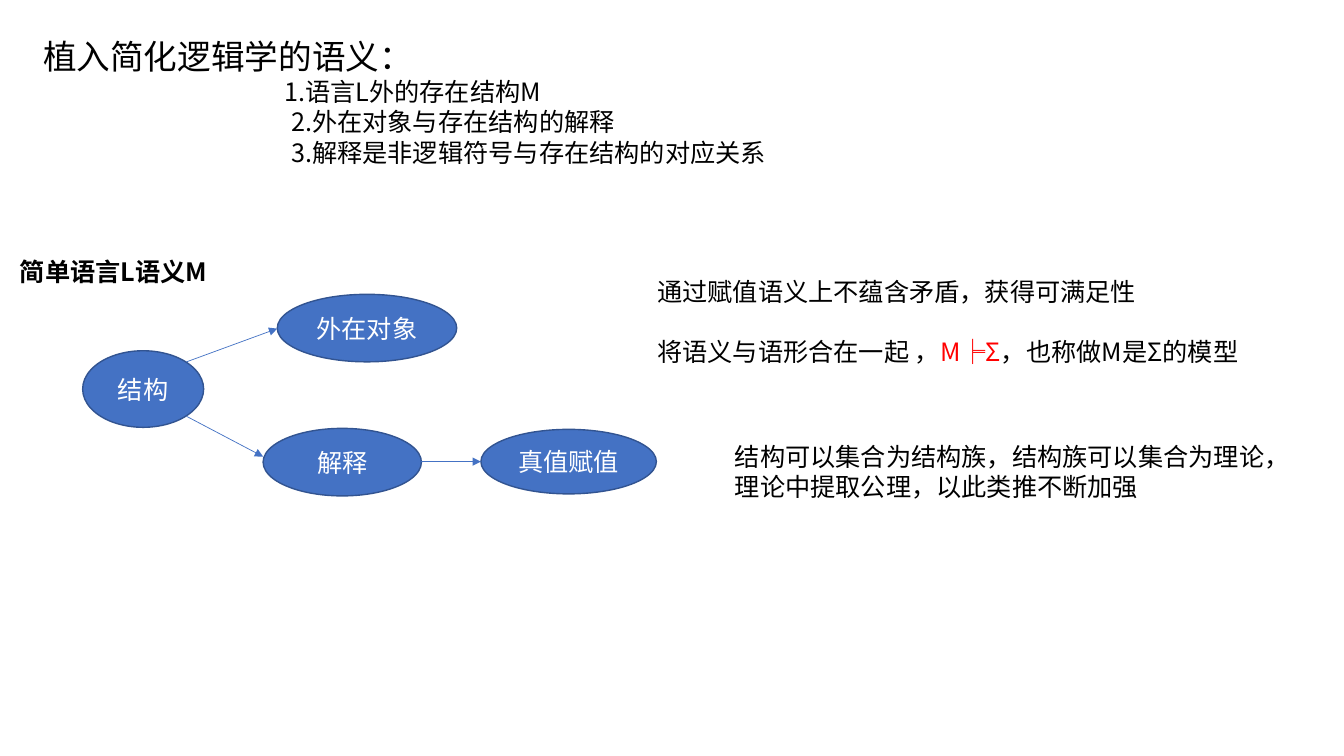
from pptx import Presentation
from pptx.dml.color import RGBColor
from pptx.enum.shapes import MSO_CONNECTOR as CONN, MSO_SHAPE as SHAPE
from pptx.enum.text import MSO_ANCHOR as ANCHOR, PP_ALIGN as ALIGN
from pptx.oxml.ns import qn
from pptx.util import Inches, Pt
from lxml import etree

BLACK = RGBColor(0x00, 0x00, 0x00)
WHITE = RGBColor(0xFF, 0xFF, 0xFF)
RED = RGBColor(0xFF, 0x00, 0x00)
BLUE = RGBColor(0x44, 0x72, 0xC4)
DARK_BLUE = RGBColor(0x32, 0x54, 0x91)
CJK = "Noto Sans CJK SC"


def add_run(p, text, size=18, color=BLACK, bold=False, font=CJK):
    r = p.add_run()
    r.text = text
    r.font.size = Pt(size)
    r.font.bold = bold
    r.font.name = font
    r.font.color.rgb = color
    ea = etree.SubElement(r._r.get_or_add_rPr(), qn("a:ea"))
    ea.set("typeface", CJK)


def add_text_box(s, left, top, width, height):
    tf = s.shapes.add_textbox(Inches(left), Inches(top), Inches(width), Inches(height)).text_frame
    tf.word_wrap = True
    return tf


def add_ellipse(s, text, left, top, width, height, font=CJK):
    sp = s.shapes.add_shape(SHAPE.OVAL, Inches(left), Inches(top), Inches(width), Inches(height))
    sp.shadow.inherit = False
    sp.fill.solid()
    sp.fill.fore_color.rgb = BLUE
    sp.line.color.rgb = DARK_BLUE
    sp.line.width = Pt(1)
    tf = sp.text_frame
    tf.word_wrap = True
    tf.vertical_anchor = ANCHOR.MIDDLE
    p = tf.paragraphs[0]
    p.alignment = ALIGN.CENTER
    add_run(p, text, color=WHITE, font=font)


def add_arrow(s, x1, y1, x2, y2):
    line = s.shapes.add_connector(CONN.STRAIGHT, Inches(x1), Inches(y1), Inches(x2), Inches(y2))
    line.line.color.rgb = BLUE
    line.line.width = Pt(0.5)
    tail = etree.SubElement(line.line._get_or_add_ln(), qn("a:tailEnd"))
    tail.set("type", "triangle")
    etree.SubElement(line._element.spPr, qn("a:effectLst"))


def add_heading(s):
    tf = add_text_box(s, 0.33, 0.31, 11.53, 2.22)
    add_run(tf.paragraphs[0], "植入简化逻辑学的语义：", 24)
    points = [
        (2.39, "1.语言L外的存在结构M"),
        (2.46, "2.外在对象与存在结构的解释"),
        (2.46, "3.解释是非逻辑符号与存在结构的对应关系"),
    ]
    for indent, text in points:
        p = tf.add_paragraph()
        p._p.get_or_add_pPr().set("marL", str(Inches(indent)))
        add_run(p, text)


def add_diagram(s):
    add_ellipse(s, "结构", 0.82, 3.48, 1.2, 0.76)
    add_ellipse(s, "外在对象", 2.75, 2.92, 1.78, 0.67)
    add_ellipse(s, "解释", 2.61, 4.25, 1.57, 0.67, font="Arial")
    add_ellipse(s, "真值赋值", 4.77, 4.26, 1.74, 0.64)
    add_arrow(s, 1.85, 3.59, 2.75, 3.26)
    add_arrow(s, 1.85, 4.13, 2.61, 4.53)
    add_arrow(s, 4.18, 4.58, 4.77, 4.58)


def add_remarks(s):
    tf = add_text_box(s, 6.42, 2.69, 6.02, 1.01)
    add_run(tf.paragraphs[0], "通过赋值语义上不蕴含矛盾，获得可满足性")
    p = tf.add_paragraph()
    p.space_before = Pt(21.5)
    add_run(p, "将语义与语形合在一起 ，")
    add_run(p, "M╞Σ", color=RED)
    add_run(p, "，也称做M是Σ的模型")

    tf = add_text_box(s, 0.1, 2.49, 2.07, 0.4)
    add_run(tf.paragraphs[0], "简单语言L语义M", bold=True)

    tf = add_text_box(s, 7.19, 4.33, 5.85, 0.71)
    add_run(tf.paragraphs[0], "结构可以集合为结构族，结构族可以集合为理论，理论中提取公理，以此类推不断加强")


def main():
    prs = Presentation()
    prs.slide_width = Inches(13.33)
    prs.slide_height = Inches(7.5)
    s = prs.slides.add_slide(prs.slide_layouts[6])
    add_heading(s)
    add_diagram(s)
    add_remarks(s)
    prs.save("out.pptx")


if __name__ == "__main__":
    main()
